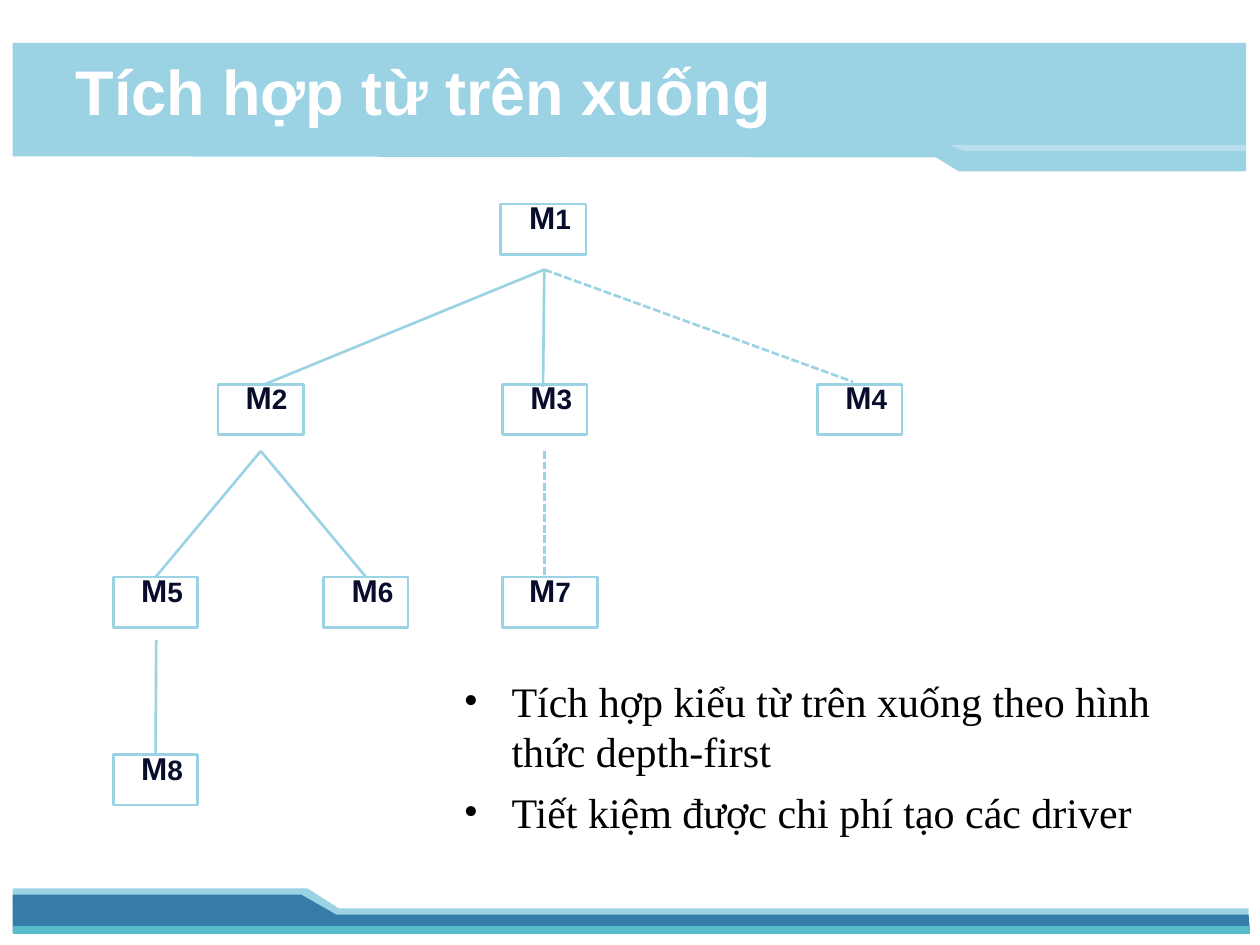
from dataclasses import dataclass
from typing import Optional

from lxml import etree
from pptx import Presentation
from pptx import util as u
from pptx.dml.color import RGBColor
from pptx.enum import dml, shapes, text
from pptx.oxml import ns

SKY = RGBColor(0x9B, 0xD2, 0xE4)
BLUE = RGBColor(0x35, 0x7C, 0xA9)
TEAL = RGBColor(0x57, 0xBD, 0xCC)
WHITE = RGBColor(0xFF, 0xFF, 0xFF)
NAVY = RGBColor(0x08, 0x0D, 0x2B)
BLACK = RGBColor(0, 0, 0)

TIER = (1.62, 3.05, 4.58, 5.99)  # top of each tree level
HIGH = 0.4


@dataclass
class Band:
    color: RGBColor
    points: list
    alpha: Optional[int] = None


@dataclass
class Node:
    name: str
    left: float
    tier: int
    width: float = 0.67
    indent: Optional[float] = 0.22  # None centres the label


@dataclass
class Edge:
    start: tuple
    end: tuple
    dashed: bool = False
    child: Optional[str] = None  # node whose top middle the line meets


BANDS = [
    Band(SKY, [(0.1, 7.05), (0.11, 7.39), (9.91, 7.39), (9.91, 7.21), (2.69, 7.21), (2.44, 7.05)]),
    Band(BLUE, [(0.1, 7.1), (0.1, 7.4), (9.92, 7.39), (9.91, 7.26), (2.67, 7.26), (2.39, 7.1)]),
    Band(SKY, [(9.89, 0.34), (0.1, 0.34), (0.1, 1.24), (7.43, 1.25), (7.61, 1.36), (9.89, 1.36)]),
    Band(TEAL, [(9.92, 7.35), (0.1, 7.35), (0.1, 7.41), (9.92, 7.41)]),
    Band(WHITE, [(9.9, 1.15), (7.54, 1.15), (7.65, 1.2), (9.9, 1.2)], 30),
]
NODES = [
    Node("M1", 3.97, 0, 0.68, 0.23),
    Node("M2", 1.73, 1, 0.68),
    Node("M3", 3.99, 1),
    Node("M4", 6.49, 1),
    Node("M5", 0.9, 2),
    Node("M6", 2.57, 2),
    Node("M7", 3.99, 2, 0.75, None),
    Node("M8", 0.9, 3),
]
ROOT, FORK = (4.32, 2.14), (2.07, 3.58)
EDGES = [
    Edge(ROOT, (2.1, 3.05)),
    Edge(ROOT, (4.31, 3.07)),
    Edge(ROOT, (6.77, 3.03), dashed=True),
    Edge(FORK, (1.24, 4.58), child="M5"),
    Edge(FORK, (2.9, 4.58), child="M6"),
    Edge((4.32, 3.58), (4.32, 4.58), dashed=True),
    Edge((1.24, 5.08), (1.24, 5.99), child="M8"),
]
POINTS = ["Tích hợp kiểu từ trên xuống theo hình thức depth-first",
          "Tiết kiệm được chi phí tạo các driver"]


def assign(target, values: dict) -> None:
    for key, value in values.items():
        setattr(target, key, value)


def set_up(frame, wrap: bool, top: float = 0) -> None:
    assign(frame, dict(margin_left=0, margin_right=0, margin_bottom=0,
                       margin_top=u.Inches(top), word_wrap=wrap,
                       vertical_anchor=text.MSO_ANCHOR.TOP))


def add_run(para, words: str, size: float, face: str, color: RGBColor, bold: bool) -> None:
    run = para.add_run()
    run.text = words
    assign(run.font, dict(size=u.Pt(size), name=face, bold=bold))
    run.font.color.rgb = color


def indent(para, left: float, first: float = 0) -> None:
    props = para._p.get_or_add_pPr()
    props.set("marL", str(u.Inches(left)))
    props.set("indent", str(u.Inches(first)))


def add_box(slide, left: float, top: float, width: float, height: float, wrap: bool):
    box = slide.shapes.add_textbox(*map(u.Inches, (left, top, width, height)))
    set_up(box.text_frame, wrap, 0.01)
    return box.text_frame


def draw_band(slide, band: Band) -> None:
    first, *rest = [tuple(map(u.Inches, spot)) for spot in band.points]
    form = slide.shapes.build_freeform(*first)
    form.add_line_segments(rest, close=True)
    shape = form.convert_to_shape()
    shape.shadow.inherit = False
    shape.fill.solid()
    shape.fill.fore_color.rgb = band.color
    shape.line.fill.background()
    if band.alpha is not None:
        tint = shape._element.spPr.find(".//" + ns.qn("a:srgbClr"))
        etree.SubElement(tint, ns.qn("a:alpha")).set("val", str(band.alpha * 1000))


def draw_node(slide, node: Node):
    place = map(u.Inches, (node.left, TIER[node.tier], node.width, HIGH))
    shape = slide.shapes.add_shape(shapes.MSO_SHAPE.RECTANGLE, *place)
    shape.shadow.inherit = False
    shape.fill.background()
    shape.line.color.rgb = SKY
    shape.line.width = u.Pt(1.5)
    set_up(shape.text_frame, True)
    para = shape.text_frame.paragraphs[0]
    para.line_spacing = u.Pt(18.2)
    if node.indent is None:
        para.alignment = text.PP_ALIGN.CENTER
    else:
        para.alignment = text.PP_ALIGN.LEFT
        indent(para, node.indent)
    for sign, size in zip(node.name, (18, 16)):
        add_run(para, sign, size, "Arial", NAVY, True)
    return shape


def draw_edge(slide, edge: Edge, boxes: dict) -> None:
    ends = map(u.Inches, edge.start + edge.end)
    line = slide.shapes.add_connector(shapes.MSO_CONNECTOR.STRAIGHT, *ends)
    line.line.color.rgb = SKY
    line.line.width = u.Pt(1.5)
    if edge.dashed:
        line.line.dash_style = dml.MSO_LINE.SQUARE_DOT
    if edge.child:
        line.end_connect(boxes[edge.child], 0)
    etree.SubElement(line._element.spPr, ns.qn("a:effectLst"))


def draw_title(slide) -> None:
    para = add_box(slide, 0.59, 0.41, 5.55, 0.63, False).paragraphs[0]
    para.space_before = u.Pt(1)
    indent(para, 0.01)
    add_run(para, "Tích hợp từ trên xuống", 36, "Arial", WHITE, True)


def draw_points(slide) -> None:
    frame = add_box(slide, 3.67, 5.35, 5.47, 1.31, True)
    for i, words in enumerate(POINTS):
        para = frame.add_paragraph() if i else frame.paragraphs[0]
        para.space_before = u.Pt(5.8 if i else 1)
        indent(para, 0.39, -0.38)
        props = para._p.get_or_add_pPr()
        etree.SubElement(props, ns.qn("a:buFont")).set("typeface", "Times New Roman")
        etree.SubElement(props, ns.qn("a:buChar")).set("char", "•")
        add_run(para, words, 24, "Times New Roman", BLACK, False)


def main() -> None:
    deck = Presentation()
    assign(deck, dict(slide_width=u.Inches(10), slide_height=u.Inches(7.5)))
    slide = deck.slides.add_slide(deck.slide_layouts[6])
    for band in BANDS:
        draw_band(slide, band)
    draw_title(slide)
    draw_points(slide)
    boxes = {node.name: draw_node(slide, node) for node in NODES}
    for edge in EDGES:
        draw_edge(slide, edge, boxes)
    deck.save("out.pptx")


if __name__ == "__main__":
    main()
